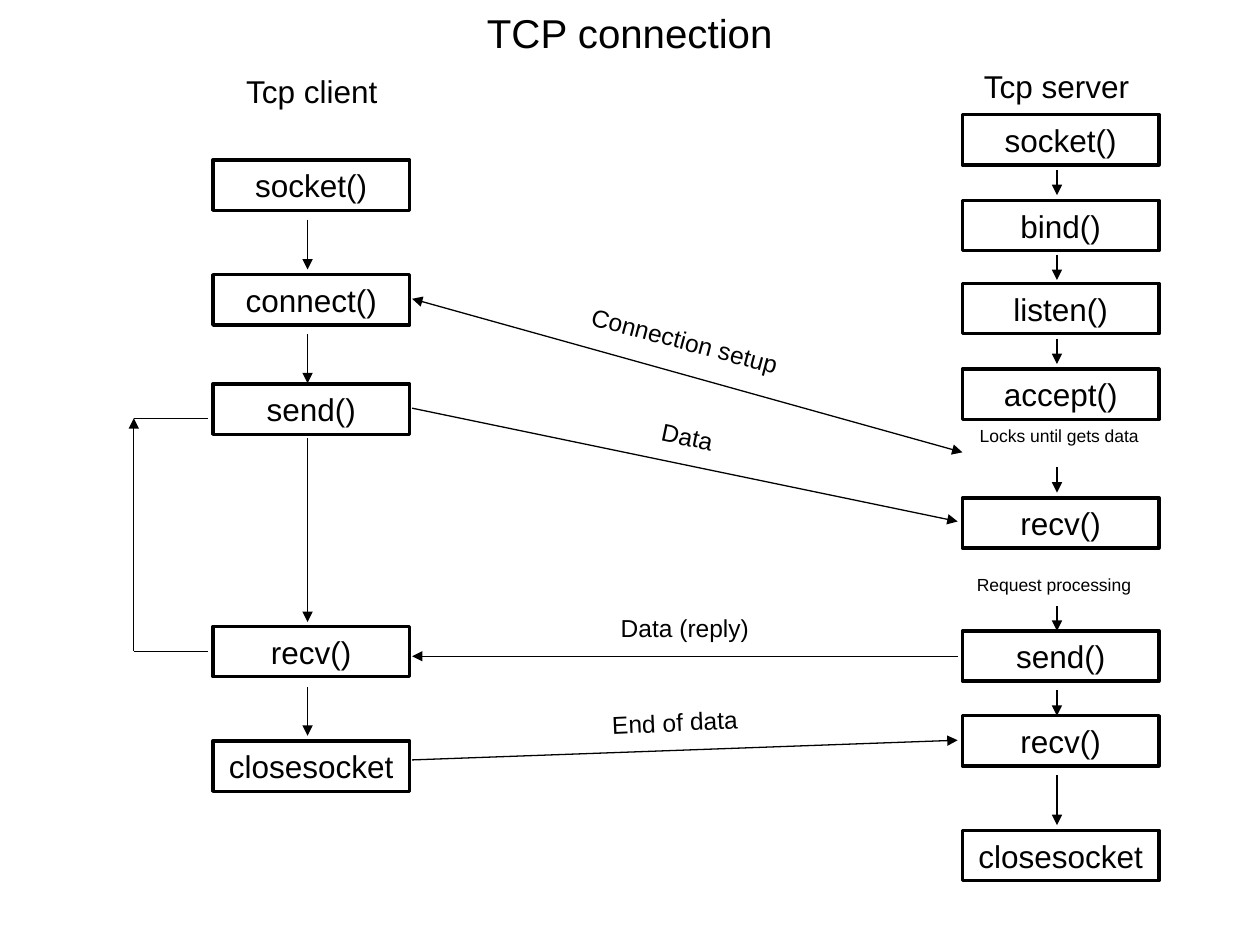
from lxml import etree
from pptx import Presentation
from pptx.dml.color import RGBColor
from pptx.enum import shapes, text
from pptx.oxml import ns
from pptx.util import Pt

BLACK = RGBColor(0, 0, 0)
FONT = "Arial"
BOX_W, BOX_H = 112.25, 28.75

TITLE = "TCP connection"

# Each side: left edge of boxes, x of arrows, (call, top), (arrow start, arrow end)
SIDES = [
    {
        "left": 121.75,
        "arrow_x": 175.75,
        "calls": [("socket()", 91.5), ("connect()", 157), ("send()", 219.5),
                  ("recv()", 358), ("closesocket", 423.5)],
        "arrows": [(125.5, 154), (191, 219), (250.5, 355.5), (392.5, 420.5)],
    },
    {
        "left": 550,
        "arrow_x": 604,
        "calls": [("socket()", 65.5), ("bind()", 114.5), ("listen()", 162),
                  ("accept()", 211), ("recv()", 284.5), ("send()", 360.5),
                  ("recv()", 409), ("closesocket", 474.5)],
        "arrows": [(97, 111.5), (145.5, 160), (193.5, 208), (267, 281.5),
                   (346.5, 360.5), (394.5, 409), (443, 471.5)],
    },
]

# Text, left, top, width, height, size, rotation
LABELS = [
    ("Tcp client", 116, 37.5, 124.5, 28.75, 18, 0),
    ("Tcp server", 541.5, 34.5, 124.5, 28.75, 18, 0),
    ("Locks until gets data", 535.75, 239, 139, 19.5, 10, 0),
    ("Request processing", 532.75, 324, 139, 19.5, 10, 0),
    ("Connection setup", 289.5, 182.25, 203.75, 24.5, 14, 14.9),
    ("Data", 291, 237, 203.75, 24.5, 14, 11.9),
    ("Data (reply)", 289.5, 346.5, 203.75, 24.5, 14, 0),
    ("End of data", 283.75, 400.25, 203.75, 24.5, 14, 357.5),
]

# Start point, end point, ends that carry an arrowhead
MESSAGES = [
    ((235.5, 170.75), (550, 258.5), ("headEnd", "tailEnd")),
    ((235.5, 233.25), (547.25, 298), ("tailEnd",)),
    ((547.25, 375), (235.5, 375), ("tailEnd",)),
    ((235.5, 434.25), (547.25, 423), ("tailEnd",)),
]
LOOP_X, LOOP_RIGHT, LOOP_TOP, LOOP_BOTTOM = 76.5, 119, 239, 372.25
LOOP = [
    ((LOOP_RIGHT, LOOP_BOTTOM), (LOOP_X, LOOP_BOTTOM), ()),
    ((LOOP_X, LOOP_BOTTOM), (LOOP_X, LOOP_TOP), ("tailEnd",)),
    ((LOOP_RIGHT, LOOP_TOP), (LOOP_X, LOOP_TOP), ()),
]


def write(shape, words, size):
    frame = shape.text_frame
    frame.text = words
    frame.word_wrap = True
    frame.vertical_anchor = text.MSO_ANCHOR.MIDDLE
    paragraph = frame.paragraphs[0]
    paragraph.alignment = text.PP_ALIGN.CENTER
    for name, value in {"name": FONT, "size": Pt(size), "bold": False}.items():
        setattr(paragraph.font, name, value)
    paragraph.font.color.rgb = BLACK


def add_call(slide, words, left, top):
    box = slide.shapes.add_shape(shapes.MSO_SHAPE.RECTANGLE,
                                 Pt(left), Pt(top), Pt(BOX_W), Pt(BOX_H))
    box.shadow.inherit = False
    box.fill.background()
    box.line.color.rgb = BLACK
    box.line.width = Pt(2)
    write(box, words, 18)


def add_line(slide, start, end, heads):
    line = slide.shapes.add_connector(shapes.MSO_CONNECTOR.STRAIGHT,
                                      *map(Pt, start + end))
    line.line.color.rgb = BLACK
    line.line.width = Pt(0.75)
    outline = line.line._get_or_add_ln()
    for head in heads:
        etree.SubElement(outline, ns.qn("a:" + head), type="triangle")
    etree.SubElement(outline.getparent(), ns.qn("a:effectLst"))


def main():
    deck = Presentation()
    deck.slide_width, deck.slide_height = Pt(720), Pt(540)
    slide = deck.slides.add_slide(deck.slide_layouts[5])

    title = slide.shapes.title
    title.left, title.top, title.width, title.height = map(Pt, (0, 0, 720, 37.5))
    write(title, TITLE, 23)

    for side in SIDES:
        for words, top in side["calls"]:
            add_call(slide, words, side["left"], top)
        x = side["arrow_x"]
        for start, end in side["arrows"]:
            add_line(slide, (x, start), (x, end), ("tailEnd",))

    for start, end, heads in LOOP + MESSAGES:
        add_line(slide, start, end, heads)

    for words, left, top, width, height, size, rotation in LABELS:
        label = slide.shapes.add_textbox(*map(Pt, (left, top, width, height)))
        label.rotation = rotation
        write(label, words, size)

    deck.save("out.pptx")


if __name__ == "__main__":
    main()
